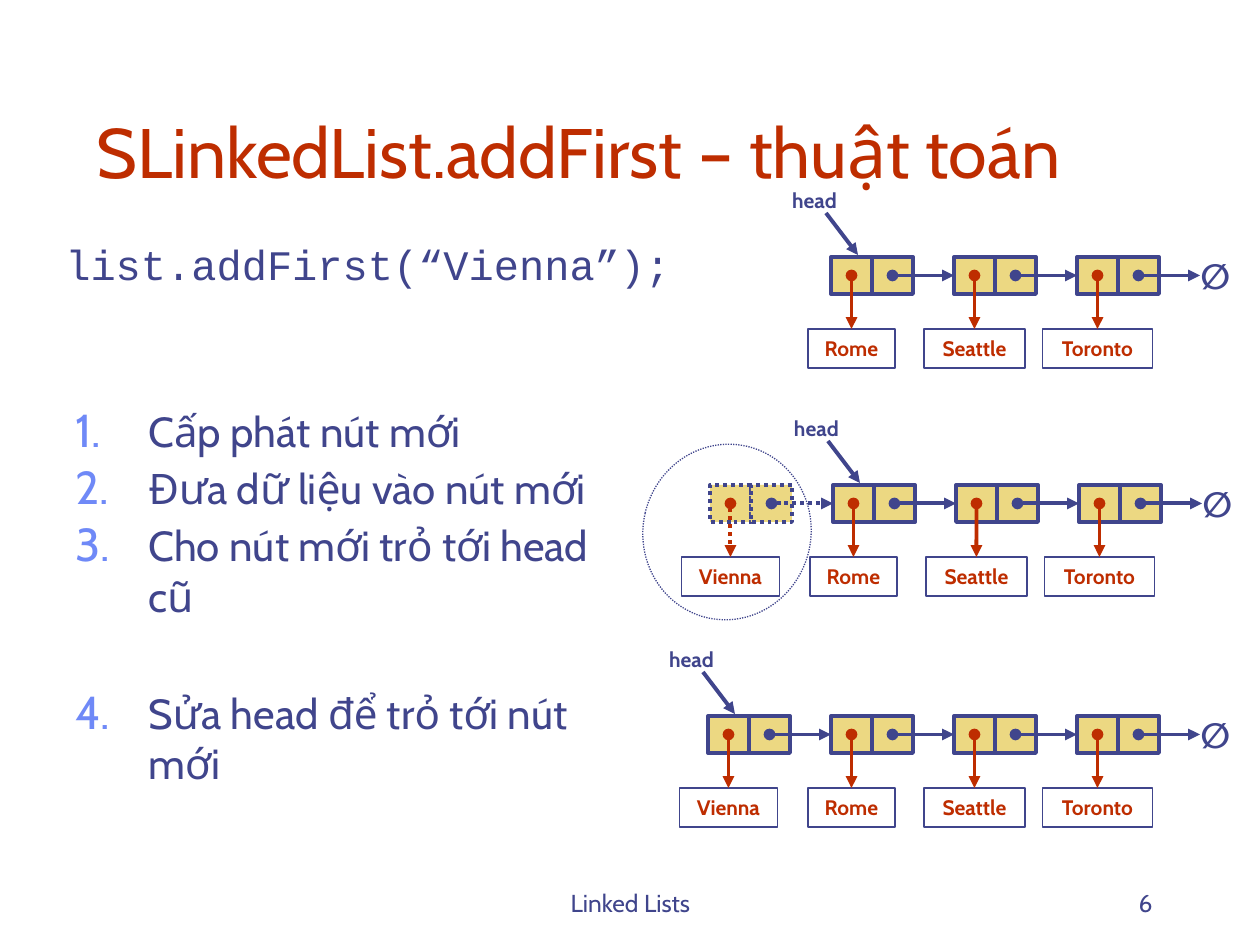
from lxml.etree import SubElement
from pptx import Presentation
from pptx.dml.color import RGBColor
from pptx.enum.dml import MSO_LINE
from pptx.enum.shapes import MSO_CONNECTOR, MSO_SHAPE
from pptx.enum.text import MSO_ANCHOR, PP_ALIGN
from pptx.oxml.ns import qn
from pptx.util import Pt

SCALE = 914400 / 126
INK, RED, GOLD, NUMBER = "40458C", "BE2D00", "ECD882", "6F89F7"
FONT, CODE_FONT = "Cabin", "Courier New"

TITLE = "SLinkedList.addFirst – thuật toán"
CODE = "list.addFirst(“Vienna”);"
STEPS = [
    ("Cấp phát nút mới", 4),
    ("Đưa dữ liệu vào nút mới", 4),
    ("Cho nút mới trỏ tới head cũ", 4),
    ("Sửa head để trỏ tới nút mới", 38),
]
FOOTERS = [
    ("Linked Lists", (431, 861, 399, 63), PP_ALIGN.CENTER),
    ("6", (903, 861, 262, 63), PP_ALIGN.RIGHT),
]
CITIES = [("Vienna", 98), ("Rome", 87), ("Seattle", 101), ("Toronto", 110)]
LISTS = [
    {"left": 708, "top": 257, "first": 1, "head": 1, "dotted": None},
    {"left": 710, "top": 485, "first": 0, "head": 1, "dotted": 0},
    {"left": 708, "top": 716, "first": 0, "head": 0, "dotted": None},
]
NEW_NODE_RING = (643, 444, 168, 176)
PITCH, CELL_W, CELL_H = 123, 41, 37
LABEL_DROP, LABEL_H = 72, 39


def emu(px):
    return round(px * SCALE)


def color(hex_text):
    return RGBColor.from_string(hex_text)


def write(paragraph, text, size=12, ink=INK, font=FONT, bold=False, **layout):
    for key, value in layout.items():
        setattr(paragraph, key, value)
    run = paragraph.add_run()
    run.text = text
    for key, value in {"name": font, "size": Pt(size), "bold": bold}.items():
        setattr(run.font, key, value)
    run.font.color.rgb = color(ink)


def indent(paragraph, px):
    properties = paragraph._p.get_or_add_pPr()
    properties.set("marL", str(emu(px)))
    properties.set("indent", str(-emu(px)))
    return properties


def text_box(slide, box, wrap=True, anchor=MSO_ANCHOR.TOP):
    frame = slide.shapes.add_textbox(*map(emu, box)).text_frame
    frame.word_wrap = wrap
    frame.vertical_anchor = anchor
    return frame


def outlined(slide, kind, box, width, fill=None, dotted=False):
    shape = slide.shapes.add_shape(kind, *map(emu, box))
    shape.shadow.inherit = False
    if fill:
        shape.fill.solid()
        shape.fill.fore_color.rgb = color(fill)
    else:
        shape.fill.background()
    shape.line.color.rgb = color(INK)
    shape.line.width = Pt(width)
    if dotted:
        shape.line.dash_style = MSO_LINE.ROUND_DOT
    return shape


def arrow(slide, start, end, ink=INK, dot=True, dotted=False, target=None, side=0):
    line = slide.shapes.add_connector(MSO_CONNECTOR.STRAIGHT, *map(emu, start + end))
    if target is not None:
        line.end_connect(target, side)
    line.line.color.rgb = color(ink)
    line.line.width = Pt(2.25)
    if dotted:
        line.line.dash_style = MSO_LINE.ROUND_DOT
    stroke = line.line._ln
    if dot:
        SubElement(stroke, qn("a:headEnd"), type="oval")
    SubElement(stroke, qn("a:tailEnd"), type="triangle")
    SubElement(line._element.spPr, qn("a:effectLst"))


def draw_list(slide, spec_row):
    top = spec_row["top"]
    middle = top + CELL_H / 2
    nodes = []
    for index in range(spec_row["first"], len(CITIES)):
        city, label_w = CITIES[index]
        left = spec_row["left"] + index * PITCH
        dotted = index == spec_row["dotted"]
        cells = [
            outlined(slide, MSO_SHAPE.RECTANGLE,
                     (left + part * CELL_W, top, CELL_W, CELL_H), 2.25, GOLD, dotted)
            for part in range(2)
        ]
        center = left + CELL_W / 2
        label = outlined(slide, MSO_SHAPE.RECTANGLE,
                         (center - label_w / 2, top + LABEL_DROP, label_w, LABEL_H), 0.75)
        label.text_frame.word_wrap = False
        label.text_frame.vertical_anchor = MSO_ANCHOR.MIDDLE
        write(label.text_frame.paragraphs[0], city, ink=RED, bold=True,
              alignment=PP_ALIGN.CENTER)
        arrow(slide, (center, middle), (center, top + LABEL_DROP), RED,
              dotted=dotted, target=label)
        nodes.append((left, cells[0], dotted))

    following = [cell for _, cell, _ in nodes[1:]] + [None]
    for (left, _, dotted), target in zip(nodes, following):
        arrow(slide, (left + 1.5 * CELL_W, middle), (left + PITCH, middle),
              dotted=dotted, target=target, side=1)

    end = text_box(slide, (left + 111, top - 9, 54, 54), False, MSO_ANCHOR.MIDDLE)
    write(end.paragraphs[0], "∅", 20, bold=True, alignment=PP_ALIGN.CENTER)

    head_left = spec_row["left"] + spec_row["head"] * PITCH
    arrow(slide, (head_left - 5, top - 44), (head_left + 27, top - 2), dot=False)
    head = text_box(slide, (head_left - 55, top - 76, 77, 38), False)
    write(head.paragraphs[0], "head", bold=True, alignment=PP_ALIGN.CENTER)


def main():
    deck = Presentation()
    deck.slide_width, deck.slide_height = emu(1260), emu(945)
    slide = deck.slides.add_slide(deck.slide_layouts[5])

    title = slide.shapes.title
    for key, value in zip(("left", "top", "width", "height"), (84, 42, 1071, 157)):
        setattr(title, key, emu(value))
    title.text_frame.vertical_anchor = MSO_ANCHOR.BOTTOM
    write(title.text_frame.paragraphs[0], TITLE, 40, RED, alignment=PP_ALIGN.LEFT)

    code = text_box(slide, (53, 242, 720, 73)).paragraphs[0]
    indent(code, 48)
    write(code, CODE, 24, font=CODE_FONT, line_spacing=0.8, space_before=Pt(4.8))

    steps = text_box(slide, (63, 399, 557, 451))
    for number, (step, gap) in enumerate(STEPS):
        paragraph = steps.add_paragraph() if number else steps.paragraphs[0]
        write(paragraph, step, 24, space_before=Pt(gap))
        properties = indent(paragraph, 73)
        SubElement(SubElement(properties, qn("a:buClr")), qn("a:srgbClr"), val=NUMBER)
        SubElement(properties, qn("a:buSzPct"), val="110000")
        SubElement(properties, qn("a:buAutoNum"), type="arabicPeriod")

    for footer, box, alignment in FOOTERS:
        frame = text_box(slide, box, anchor=MSO_ANCHOR.BOTTOM)
        write(frame.paragraphs[0], footer, 14, alignment=alignment)

    for linked_list in LISTS:
        draw_list(slide, linked_list)
    ring = outlined(slide, MSO_SHAPE.OVAL, NEW_NODE_RING, 0.75, dotted=True)
    ring.rotation = 13

    deck.save("out.pptx")


if __name__ == "__main__":
    main()
